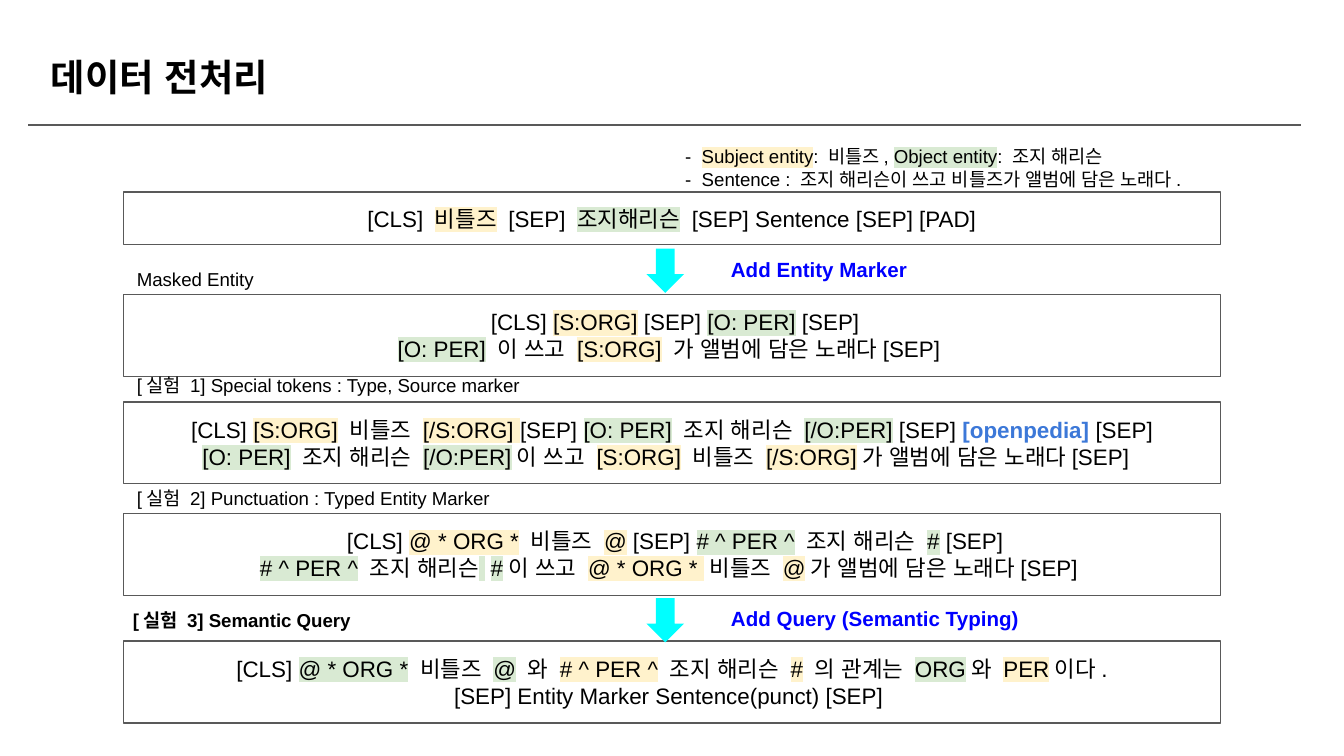
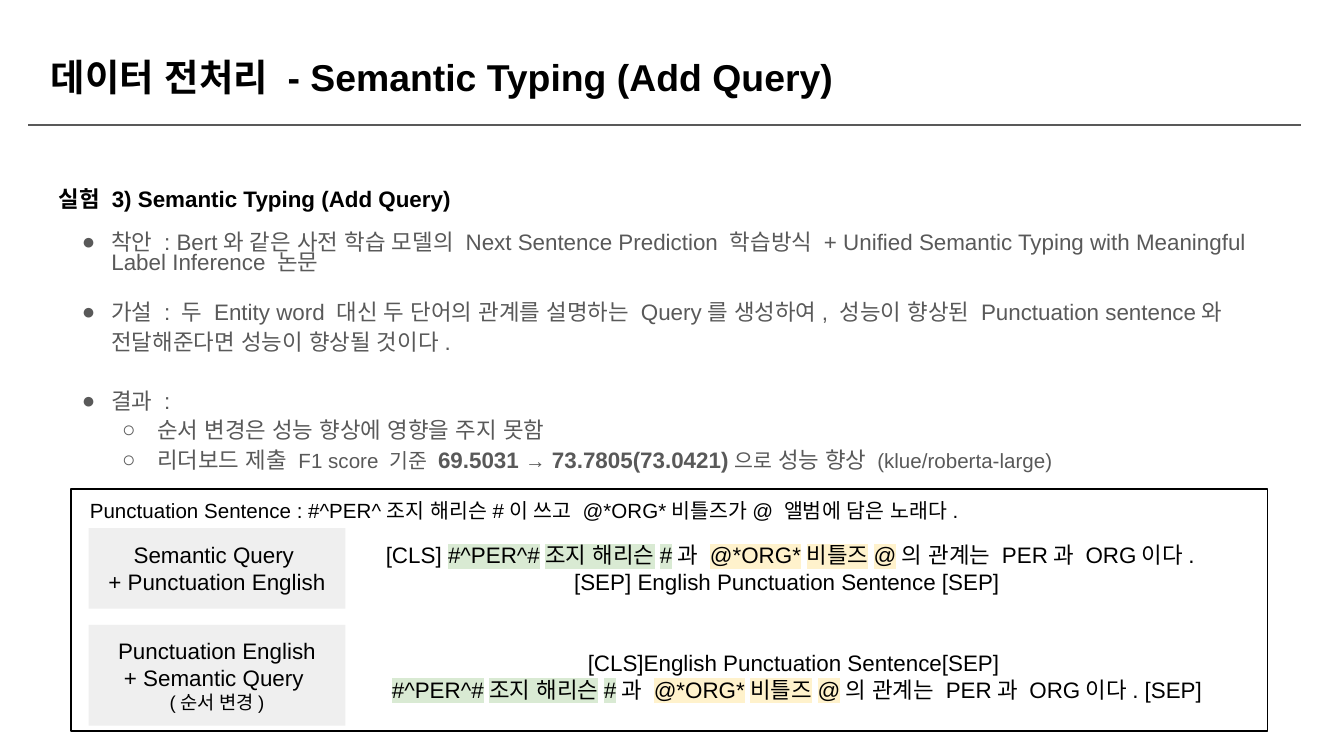
from dataclasses import dataclass
from typing import Any, Optional, Union

import lxml.etree
import pptx
import pptx.dml.color
import pptx.enum.shapes
import pptx.enum.text
import pptx.oxml.ns
import pptx.util

Inches = pptx.util.Inches
Pt = pptx.util.Pt
RGB = pptx.dml.color.RGBColor
SHAPE = pptx.enum.shapes.MSO_SHAPE
ALIGN = pptx.enum.text.PP_ALIGN
ANCHOR = pptx.enum.text.MSO_ANCHOR
qn = pptx.oxml.ns.qn

FONT = "Arial"
BLACK = RGB(0x00, 0x00, 0x00)
GRAY = RGB(0x59, 0x59, 0x59)
PANEL = RGB(0xEF, 0xEF, 0xEF)
CYAN = RGB(0x00, 0xFF, 0xFF)
BLUE = RGB(0x00, 0x00, 0xFF)
SOURCE_BLUE = RGB(0x3C, 0x78, 0xD8)
YELLOW = RGB(0xFF, 0xF2, 0xCC)
GREEN = RGB(0xD9, 0xEA, 0xD3)

MIDDLE = {"vertical_anchor": ANCHOR.MIDDLE}
GROW = {"auto_size": pptx.enum.text.MSO_AUTO_SIZE.SHAPE_TO_FIT_TEXT}
CENTER = {"alignment": ALIGN.CENTER}


@dataclass(frozen=True)
class Run:
    text: str
    mark: Optional[RGB] = None
    size: Optional[float] = None
    bold: Optional[bool] = None
    color: Optional[RGB] = None


@dataclass(frozen=True)
class Para:
    runs: list[Union[str, Run]]  # "\n" stands for a line break
    fmt: dict[str, Any]
    bullet: str = ""
    indent: tuple[float, float] = (0, 0)


@dataclass(frozen=True)
class Style:
    size: float = 12
    bold: bool = False
    color: RGB = BLACK


@dataclass(frozen=True)
class Area:
    left: float
    top: float
    width: float
    height: float

    def emu(self) -> list[int]:
        return [Inches(v) for v in (self.left, self.top, self.width, self.height)]


TITLE = Style(20, True)
BODY = Style()
LABEL = Style(10)
CAPTION = Style(11, True, BLUE)


def apply(obj: Any, fmt: dict[str, Any]) -> None:
    for name, value in fmt.items():
        setattr(obj, name, value)


def subject(text: str) -> Run:
    return Run(text, YELLOW)


def target(text: str) -> Run:
    return Run(text, GREEN)


def centered(*lines: list[Union[str, Run]]) -> list[Para]:
    return [Para(line, CENTER) for line in lines]


def plain(text: str) -> list[Para]:
    return [Para([text], {})]


def add_color(parent: Any, tag: str, color: RGB) -> Any:
    el = lxml.etree.SubElement(parent, qn(tag))
    lxml.etree.SubElement(el, qn("a:srgbClr"), val=str(color))
    return el


def add_run(p: Any, run: Run, style: Style) -> None:
    r = p.add_run()
    r.text = run.text
    apply(r.font, {
        "size": Pt(run.size or style.size),
        "bold": style.bold if run.bold is None else run.bold,
        "name": FONT,
    })
    r.font.color.rgb = run.color or style.color
    latin = r.font._element.find(qn("a:latin"))
    if run.mark is not None:
        latin.addprevious(add_color(r.font._element, "a:highlight", run.mark))
    latin.addnext(latin.makeelement(qn("a:ea"), {"typeface": FONT}))


def write(tf: Any, paras: list[Para], style: Style, frame: dict[str, Any]) -> None:
    margins = {f"margin_{side}": Inches(0.1) for side in ("left", "top", "right", "bottom")}
    apply(tf, {"word_wrap": True, **margins, **frame})
    for i, para in enumerate(paras):
        p = tf.add_paragraph() if i else tf.paragraphs[0]
        apply(p, para.fmt)
        if para.bullet:
            pPr = p._p.get_or_add_pPr()
            pPr.set("marL", str(Inches(para.indent[0])))
            pPr.set("indent", str(Inches(para.indent[1])))
            add_color(pPr, "a:buClr", GRAY)
            lxml.etree.SubElement(pPr, qn("a:buFont"), typeface=FONT)
            lxml.etree.SubElement(pPr, qn("a:buChar"), char=para.bullet)
        for run in para.runs:
            if run == "\n":
                p.add_line_break()
            else:
                add_run(p, Run(run) if isinstance(run, str) else run, style)


def add_text(s: Any, area: Area, paras: list[Para], style: Style = BODY,
             frame: dict[str, Any] = GROW) -> None:
    write(s.shapes.add_textbox(*area.emu()).text_frame, paras, style, frame)


def add_box(s: Any, area: Area, paras: Optional[list[Para]] = None, fill: Optional[RGB] = None,
            line: Optional[RGB] = None, kind: Any = SHAPE.RECTANGLE) -> None:
    sp = s.shapes.add_shape(kind, *area.emu())
    sp.shadow.inherit = False
    if fill is None:
        sp.fill.background()
    else:
        sp.fill.solid()
        sp.fill.fore_color.rgb = fill
    if line is None:
        sp.line.fill.background()
    else:
        sp.line.color.rgb = line
        sp.line.width = Pt(0.75)
    if paras:
        write(sp.text_frame, paras, BODY, MIDDLE)


def add_titled_slide(prs: Any, title: str) -> Any:
    s = prs.slides.add_slide(prs.slide_layouts[6])
    rule = s.shapes.add_connector(pptx.enum.shapes.MSO_CONNECTOR.STRAIGHT,
                                  Inches(0.21), Inches(0.93), Inches(9.68), Inches(0.93))
    rule.line.color.rgb = GRAY
    rule.line.width = Pt(0.75)
    lxml.etree.SubElement(rule._element.spPr, qn("a:effectLst"))
    add_text(s, Area(0.28, 0.3, 7.89, 0.54), plain(title), TITLE)
    return s


def add_preprocessing(prs: Any) -> None:
    s = add_titled_slide(prs, "데이터 전처리")

    # Example entities and sentence
    add_text(s, Area(5, 0.98, 4.08, 0.54), [
        Para(["-  ", subject("Subject entity"), ": 비틀즈, ",
              target("Object entity"), ": 조지 해리슨"], {}),
        Para(["-  Sentence : 조지 해리슨이 쓰고 비틀즈가 앨범에 담은 노래다."], {}),
    ], LABEL)

    # Token sequences: top, height, paragraphs
    sequences = [
        (1.43, 0.39, centered(
            ["[CLS] ", subject("비틀즈"), " [SEP] ", target("조지해리슨"),
             " [SEP] Sentence [SEP] [PAD]"])),
        (2.19, 0.61, centered(
            [" [CLS] ", subject("[S:ORG]"), " [SEP] ", target("[O: PER]"), " [SEP]", "\n",
             target("[O: PER]"), " 이 쓰고 ", subject("[S:ORG]"),
             " 가 앨범에 담은 노래다[SEP] "])),
        (2.99, 0.61, centered(
            [" [CLS] ", subject("[S:ORG]"), " 비틀즈 ", subject("[/S:ORG] "), "[SEP] ",
             target("[O: PER]"), " 조지 해리슨 ", target("[/O:PER]"), " [SEP] ",
             Run("[openpedia] ", bold=True, color=SOURCE_BLUE), "[SEP] ", "\n",
             target("[O: PER]"), " 조지 해리슨 ", target("[/O:PER]"), "이 쓰고 ",
             subject("[S:ORG]"), " 비틀즈 ", subject("[/S:ORG]"),
             "가 앨범에 담은 노래다[SEP]  "])),
        (3.82, 0.61, centered(
            [" [CLS] ", subject("@ * ORG *"), " 비틀즈 ", subject("@"), " [SEP] ",
             target("# ^ PER ^"), " 조지 해리슨 ", target("#"), " [SEP]", "\n",
             target("# ^ PER ^"), " 조지 해리슨", target(" #"), "이 쓰고 ",
             subject("@ * ORG * "), "비틀즈 ", subject("@"),
             "가 앨범에 담은 노래다[SEP] "])),
        (4.77, 0.61, centered(
            [" [CLS] ", target("@ * ORG *"), " 비틀즈 ", target("@"), " 와 ",
             subject("# ^ PER ^"), " 조지 해리슨 ", subject("#"), " 의 관계는 ",
             target("ORG"), "와 ", subject("PER"), "이다. "],
            ["[SEP] Entity Marker Sentence(punct) [SEP] "])),
    ]
    for top, height, paras in sequences:
        add_box(s, Area(0.92, top, 8.16, height), paras, line=GRAY)

    # Labels above the sequences
    labels = [
        (Area(0.92, 1.91, 2.5, 0.37), "Masked Entity", LABEL),
        (Area(0.92, 2.7, 3.34, 0.37), "[실험 1] Special tokens : Type, Source marker", LABEL),
        (Area(0.92, 3.54, 3.11, 0.37), "[실험 2] Punctuation : Typed Entity Marker", LABEL),
        (Area(0.89, 4.45, 3.11, 0.37), "[실험 3] Semantic Query", Style(10, True)),
    ]
    for area, text, style in labels:
        add_text(s, area, plain(text), style)

    # Arrows with captions
    for top, width, text in ((1.85, 2.4, "Add Entity Marker"),
                             (4.45, 2.65, "Add Query (Semantic Typing)")):
        add_box(s, Area(4.81, top, 0.28, 0.33), fill=CYAN, kind=SHAPE.DOWN_ARROW)
        add_text(s, Area(5.34, top - 0.03, width, 0.39), plain(text), CAPTION)


def add_semantic_typing(prs: Any) -> None:
    s = add_titled_slide(prs, "데이터 전처리 - Semantic Typing (Add Query)")

    # Idea, hypothesis and result
    def item(runs: list[Union[str, Run]], **fmt: Any) -> Para:
        return Para(runs, {"line_spacing": 1.1, **fmt}, "●", (0.39, -0.22))

    def sub_item(*runs: Union[str, Run]) -> Para:
        return Para(list(runs), {"level": 1, "line_spacing": 1.1}, "○", (0.73, -0.26))

    add_text(s, Area(0.34, 1.26, 9.32, 2.39), [
        Para([Run("실험 3) Semantic Typing (Add Query)", bold=True, color=BLACK)],
             {"line_spacing": 1.1}),
        item(["착안 : Bert와 같은 사전 학습 모델의 Next Sentence Prediction 학습방식 + "
              "Unified Semantic Typing with Meaningful Label Inference 논문"],
             line_spacing=0.75, space_before=Pt(12), space_after=Pt(11)),
        item(["가설 : 두 Entity word 대신 두 단어의 관계를 설명하는 Query를 생성하여, "
              "성능이 향상된 Punctuation sentence와 전달해준다면 성능이 향상될 것이다."],
             space_after=Pt(16)),
        item(["결과 :"]),
        sub_item("순서 변경은 성능 향상에 영향을 주지 못함"),
        sub_item("리더보드 제출 ", Run("F1 score 기준 ", size=11), Run("69.5031 ", bold=True),
                 Run("→", size=11, bold=True), Run(" 73.7805(73.0421)", bold=True),
                 Run("으로 ", size=11), "성능 향상", Run(" (klue/roberta-large)", size=11)),
    ], Style(color=GRAY), {})

    # Framed comparison of the two input orders
    add_box(s, Area(0.53, 3.64, 8.9, 1.8), line=BLACK)
    add_text(s, Area(0.57, 3.61, 8.52, 0.38), plain(
        "Punctuation Sentence : #^PER^조지 해리슨#이 쓰고 @*ORG*비틀즈가@ 앨범에 담은 노래다."),
        Style(11))

    query = [target("#^PER^#조지 해리슨#"), "과 ", subject("@*ORG*비틀즈@")]
    orders = [
        (Area(0.66, 3.93, 1.91, 0.6), centered(["Semantic Query "], ["+ Punctuation English"]),
         Area(2.75, 3.93, 6.26, 0.6),
         centered(["[CLS] ", *query, "의 관계는 PER과 ORG이다. "],
                  ["[SEP] English Punctuation Sentence [SEP] "])),
        (Area(0.66, 4.65, 1.91, 0.75),
         centered(["Punctuation English"], ["+ Semantic Query "], [Run("(순서 변경)", size=10)]),
         Area(2.75, 4.73, 6.36, 0.6),
         centered(["[CLS]English Punctuation Sentence[SEP] "],
                  [*query, "의 관계는 PER과 ORG이다. [SEP]"])),
    ]
    for name_area, name, tokens_area, tokens in orders:
        add_box(s, name_area, name, fill=PANEL)
        add_text(s, tokens_area, tokens, frame=MIDDLE)


def main() -> None:
    prs = pptx.Presentation()
    width = Inches(10)
    apply(prs, {"slide_width": width, "slide_height": width * 9 // 16})
    add_preprocessing(prs)
    add_semantic_typing(prs)
    prs.save("out.pptx")


if __name__ == "__main__":
    main()
